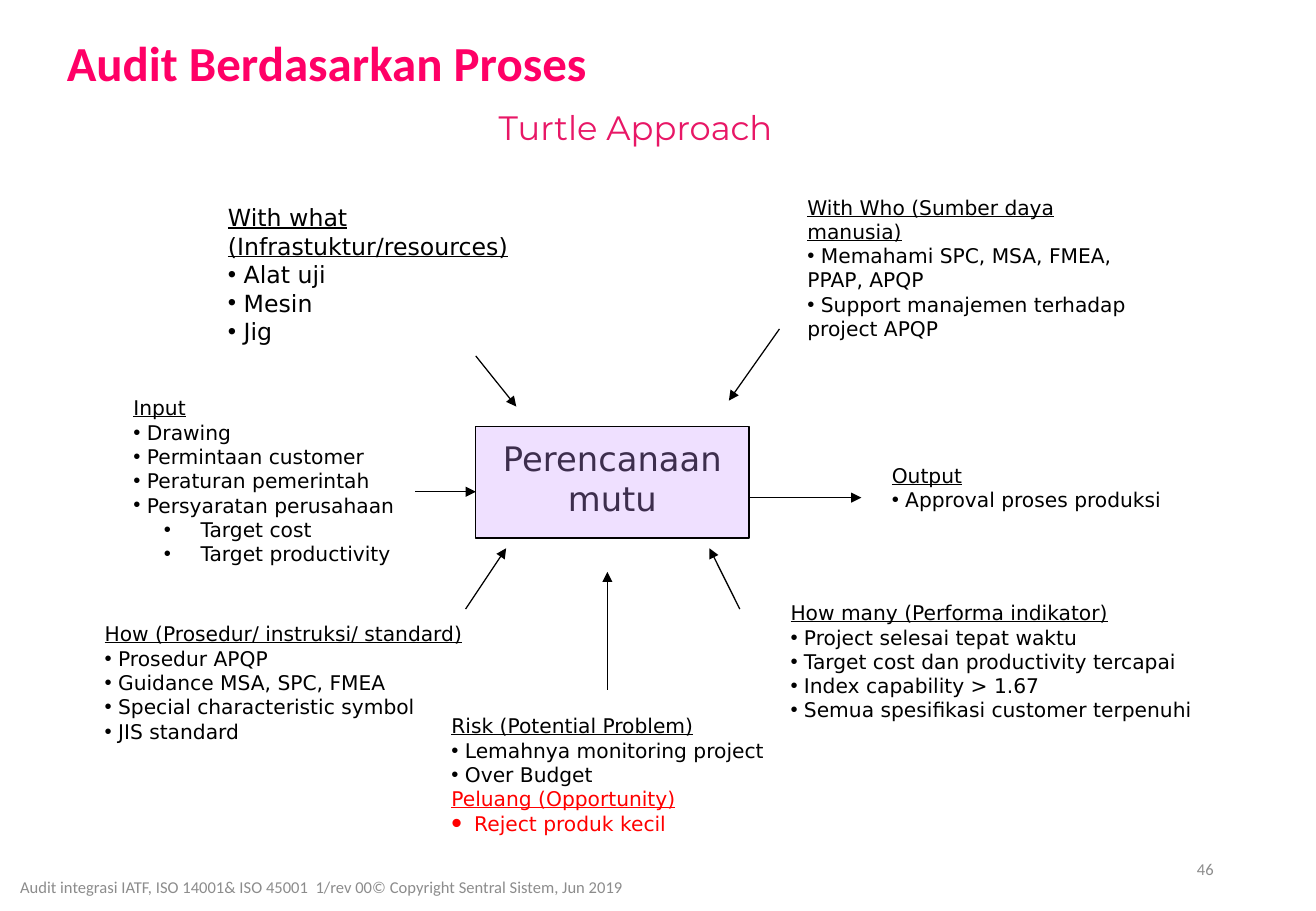
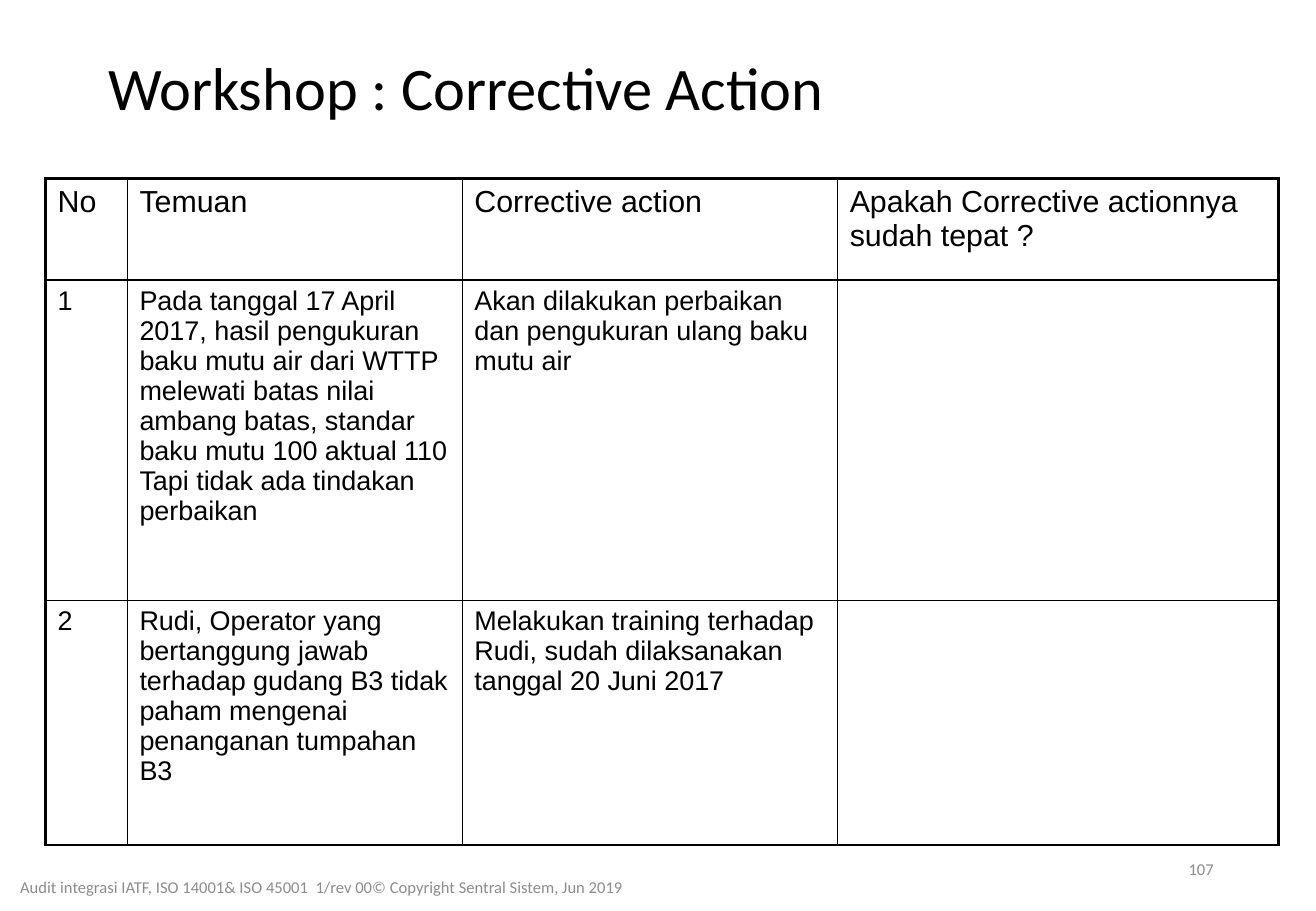
from lxml.etree import SubElement
from pptx import Presentation
from pptx.dml.color import RGBColor
from pptx.enum.shapes import MSO_CONNECTOR, MSO_SHAPE
from pptx.enum.text import MSO_ANCHOR, PP_ALIGN
from pptx.oxml.ns import qn
from pptx.util import Pt

BLACK = RGBColor(0x00, 0x00, 0x00)
PINK = RGBColor(0xFF, 0x00, 0x66)
MAGENTA = RGBColor(0xE8, 0x17, 0x66)
RED = RGBColor(0xFF, 0x00, 0x00)
GRAY = RGBColor(0x8C, 0x8C, 0x8C)
LILAC = RGBColor(0xEF, 0xE0, 0xFF)
PLUM = RGBColor(0x3D, 0x2E, 0x4D)

FOOTER = "Audit integrasi IATF, ISO 14001& ISO 45001  1/rev 00© Copyright Sentral Sistem, Jun 2019"


def style_text(frame, font, size, color, align=PP_ALIGN.LEFT):
    frame.word_wrap = True
    for paragraph in frame.paragraphs:
        paragraph.alignment = align
        for run in paragraph.runs:
            run.font.name = font
            run.font.size = Pt(size)
            run.font.color.rgb = color


def add_text(slide, box, text, font, size, color, align=PP_ALIGN.LEFT, anchor=MSO_ANCHOR.TOP):
    frame = slide.shapes.add_textbox(*map(Pt, box)).text_frame
    frame.text = text
    frame.vertical_anchor = anchor
    style_text(frame, font, size, color, align)
    return frame


prs = Presentation()
prs.slide_width, prs.slide_height = Pt(780), Pt(540)

# Shared parts: title, footer and page number
slides = []
for title, left, top, size, color, bold, page in [
    ("Audit Berdasarkan Proses", 32.5, 0, 29, PINK, True, "46"),
    ("Workshop : Corrective Action", 57, 15, 35.8, BLACK, False, "107"),
]:
    slide = prs.slides.add_slide(prs.slide_layouts[6])
    heading = add_text(slide, (left, top, 702, 78), title, "Calibri", size, color,
                       anchor=MSO_ANCHOR.MIDDLE).paragraphs[0]
    heading.line_spacing = 0.9
    heading.runs[0].font.bold = bold
    add_text(slide, (2, 511, 377, 29), FOOTER, "Calibri", 9.8, GRAY,
             PP_ALIGN.CENTER, MSO_ANCHOR.MIDDLE)
    add_text(slide, (551, 500.5, 175.5, 29), page, "Calibri", 9.8, GRAY,
             PP_ALIGN.RIGHT, MSO_ANCHOR.MIDDLE)
    slides.append(slide)
turtle, workshop = slides

# Turtle diagram: subtitle and central process
add_text(turtle, (279.5, 60, 194.5, 29), "Turtle Approach", "Montserrat", 20, MAGENTA,
         PP_ALIGN.CENTER)

process = turtle.shapes.add_shape(MSO_SHAPE.RECTANGLE, Pt(282), Pt(253), Pt(162), Pt(66))
process.shadow.inherit = False
process.fill.solid()
process.fill.fore_color.rgb = LILAC
process.line.color.rgb = BLACK
process.line.width = Pt(0.75)
process.text_frame.text = "Perencanaan\nmutu"
process.text_frame.vertical_anchor = MSO_ANCHOR.TOP
process.text_frame.margin_top = Pt(6.5)
style_text(process.text_frame, "DejaVu Sans", 20, PLUM, PP_ALIGN.CENTER)

# Notes around the process; each line is (level, text)
HEAD, ITEM, SUBITEM, CHANCE, CHANCE_ITEM = range(5)
BULLETS = {  # level: left margin, first-line indent, bullet size in percent
    ITEM: (0, 0, 100),
    SUBITEM: (36, -18, 100),
    CHANCE_ITEM: (13.5, -13.5, 150),
}
notes = [
    ((72, 231, 176.5, 122), 12, [
        (HEAD, "Input"), (ITEM, " Drawing"), (ITEM, " Permintaan customer"),
        (ITEM, " Peraturan pemerintah"), (ITEM, " Persyaratan perusahaan"),
        (SUBITEM, " Target cost"), (SUBITEM, " Target productivity")]),
    ((521.5, 271, 178, 36), 12, [
        (HEAD, "Output"), (ITEM, " Approval proses produksi")]),
    ((471.5, 112, 212.5, 108), 12, [
        (HEAD, "With Who (Sumber daya manusia)"),
        (ITEM, " Memahami SPC, MSA, FMEA, PPAP, APQP"),
        (ITEM, " Support manajemen terhadap project APQP")]),
    ((128, 117, 214.5, 92), 14, [
        (HEAD, "With what (Infrastuktur/resources)"),
        (ITEM, " Alat uji"), (ITEM, " Mesin"), (ITEM, " Jig")]),
    ((55, 365, 233, 79), 12, [
        (HEAD, "How (Prosedur/ instruksi/ standard)"),
        (ITEM, " Prosedur APQP"), (ITEM, " Guidance MSA, SPC, FMEA"),
        (ITEM, " Special characteristic symbol"), (ITEM, " JIS standard")]),
    ((461.5, 352.5, 258, 94), 12, [
        (HEAD, "How many (Performa indikator)"),
        (ITEM, " Project selesai tepat waktu"),
        (ITEM, " Target cost dan productivity tercapai"),
        (ITEM, " Index capability > 1.67"),
        (ITEM, " Semua spesifikasi customer terpenuhi")]),
    ((260.5, 419.5, 199.5, 94), 12, [
        (HEAD, "Risk (Potential Problem)"),
        (ITEM, " Lemahnya monitoring project"), (ITEM, " Over Budget"),
        (CHANCE, "Peluang (Opportunity)"), (CHANCE_ITEM, "Reject produk kecil")]),
]
for box, size, lines in notes:
    frame = add_text(turtle, box, "\n".join(text for _, text in lines),
                     "DejaVu Sans", size, BLACK)
    for paragraph, (level, _) in zip(frame.paragraphs, lines):
        font = paragraph.runs[0].font
        font.underline = level in (HEAD, CHANCE)
        if level in (CHANCE, CHANCE_ITEM):
            font.color.rgb = RED
        if level in BULLETS:
            margin, indent, percent = BULLETS[level]
            properties = paragraph._p.get_or_add_pPr()
            properties.set("marL", str(Pt(margin)))
            properties.set("indent", str(Pt(indent)))
            SubElement(properties, qn("a:buSzPct"), val=str(percent * 1000))
            SubElement(properties, qn("a:buFont"), typeface="Arial")
            SubElement(properties, qn("a:buChar"), char="•")

# Arrows between the notes and the process
for ends in [
    (444, 295, 510.5, 295),
    (276, 361, 300, 325),
    (438.5, 361, 420.5, 325),
    (282, 211, 306, 241),
    (246, 291.5, 282, 291.5),
    (462, 195, 432, 237.5),
    (360, 409, 360, 339),
]:
    arrow = turtle.shapes.add_connector(MSO_CONNECTOR.STRAIGHT, *map(Pt, ends))
    arrow.line.color.rgb = BLACK
    arrow.line.width = Pt(0.75)
    SubElement(arrow.line._get_or_add_ln(), qn("a:tailEnd"), type="triangle")
    SubElement(arrow._element.spPr, qn("a:effectLst"))

# Corrective action table
findings = [
    ("No", "Temuan", "Corrective action", "Apakah Corrective actionnya sudah tepat ?"),
    ("1", "Pada tanggal 17 April 2017, hasil pengukuran baku mutu air dari WTTP melewati "
          "batas nilai ambang batas, standar baku mutu 100 aktual 110 Tapi tidak ada "
          "tindakan perbaikan",
     "Akan dilakukan perbaikan dan pengukuran ulang baku mutu air", ""),
    ("2", "Rudi, Operator yang bertanggung jawab terhadap gudang B3 tidak paham mengenai "
          "penanganan tumpahan B3",
     "Melakukan training terhadap Rudi, sudah dilaksanakan tanggal 20 Juni 2017", ""),
]
widths, heights = (48.5, 198.5, 222.5, 261.5), (60, 190, 145)
table = workshop.shapes.add_table(len(heights), len(widths), Pt(27), Pt(106),
                                  Pt(sum(widths)), Pt(sum(heights))).table
table.first_row = table.horz_banding = False
for column, width in zip(table.columns, widths):
    column.width = Pt(width)
for r, (height, texts) in enumerate(zip(heights, findings)):
    table.rows[r].height = Pt(height)
    for c, text in enumerate(texts):
        cell = table.cell(r, c)
        cell.text_frame.text = text
        style_text(cell.text_frame, "Arial", 18 if r == 0 else 16, BLACK)
        # Heavy outer edges on the left, right and top
        cell_properties = cell._tc.get_or_add_tcPr()
        for edge, heavy in [("L", c == 0), ("R", c == len(widths) - 1),
                            ("T", r == 0), ("B", False)]:
            border = SubElement(cell_properties, qn(f"a:ln{edge}"),
                                w=str(Pt(2.25 if heavy else 1)))
            SubElement(SubElement(border, qn("a:solidFill")), qn("a:srgbClr"), val=str(BLACK))
        cell.fill.background()

prs.save("out.pptx")
